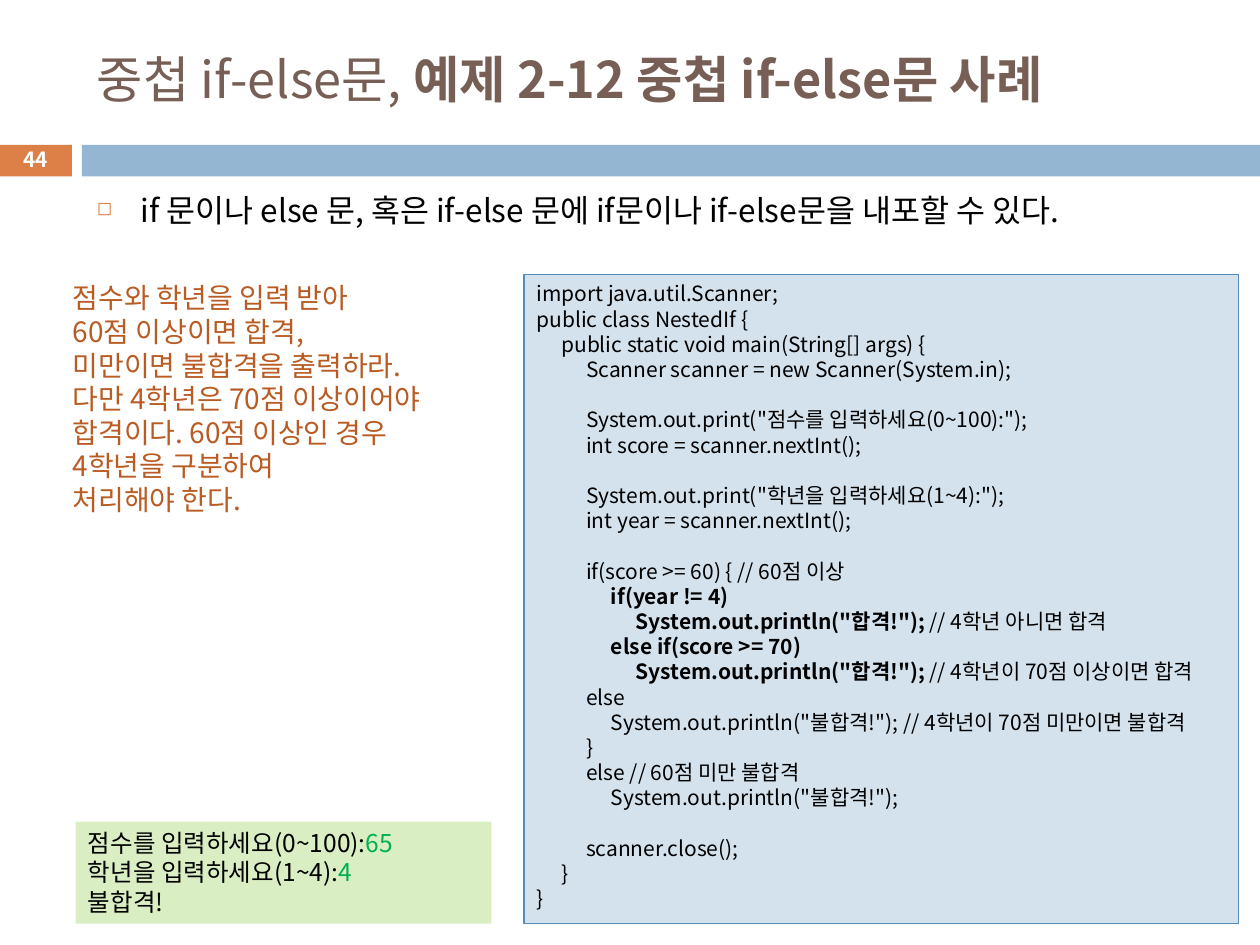
from lxml.etree import SubElement
from pptx import Presentation
from pptx.dml.color import RGBColor
from pptx.enum.shapes import MSO_SHAPE
from pptx.enum.text import MSO_ANCHOR, PP_ALIGN
from pptx.oxml.ns import qn
from pptx.util import Inches, Pt

COLORS = {
    "title": "775F55",
    "orange": "DD8047",
    "blue": "94B6D2",
    "white": "FFFFFF",
    "black": "000000",
    "task": "B95B22",
    "code": "D4E2ED",
    "code_border": "558BB8",
    "console": "DAEEC4",
    "input": "00B050",
}

TITLE = "중첩 if-else문, **예제 2-12 중첩 if-else문 사례**"
SUMMARY = "if 문이나 else 문, 혹은 if-else 문에 if문이나 if-else문을 내포할 수 있다."
TASK = """점수와 학년을 입력 받아
60점 이상이면 합격,
미만이면 불합격을 출력하라.
다만 4학년은 70점 이상이어야
합격이다. 60점 이상인 경우
4학년을 구분하여
처리해야 한다."""
CODE = """import java.util.Scanner;
public class NestedIf {
    public static void main(String[] args) {
        Scanner scanner = new Scanner(System.in);

        System.out.print("점수를 입력하세요(0~100):");
        int score = scanner.nextInt();

        System.out.print("학년을 입력하세요(1~4):");
        int year = scanner.nextInt();

        if(score >= 60) { // 60점 이상
            **if(year != 4)**
                **System.out.println("합격!"); **// 4학년 아니면 합격
            **else if(score >= 70)**
                **System.out.println("합격!"); **// 4학년이 70점 이상이면 합격
        else
            System.out.println("불합격!"); // 4학년이 70점 미만이면 불합격
        }
        else // 60점 미만 불합격
            System.out.println("불합격!");

        scanner.close();
    }
}"""
CONSOLE = """점수를 입력하세요(0~100):**65**
학년을 입력하세요(1~4):**4**
불합격!"""


def rgb(name):
    return RGBColor.from_string(COLORS[name])


def write(frame, text, size=12, color="black", bold=False, accent_color=None,
          accent_bold=False, align=PP_ALIGN.LEFT, anchor=MSO_ANCHOR.TOP,
          before=0, bullet=None):
    frame.word_wrap = True
    frame.vertical_anchor = anchor
    line_height = size * 1.2
    paragraph, gap = None, before
    for line in text.split("\n"):
        if not line:
            gap += line_height
            continue
        paragraph = frame.add_paragraph() if paragraph else frame.paragraphs[0]
        paragraph.alignment = align
        paragraph.line_spacing = Pt(line_height)
        paragraph.space_before = Pt(gap)
        gap = before
        content = line.lstrip()
        level = (len(line) - len(content)) // 4
        properties = paragraph._p.get_or_add_pPr()
        properties.set("marL", str(Inches(0.35 if bullet else 0.197 * level)))
        if bullet:
            properties.set("indent", str(Inches(-0.35)))
            bullet_color = SubElement(properties, qn("a:buClr"))
            SubElement(bullet_color, qn("a:srgbClr"), val=COLORS["orange"])
            SubElement(properties, qn("a:buSzPct"), val="60000")
            SubElement(properties, qn("a:buChar"), char=bullet)
        for index, part in enumerate(content.split("**")):
            if not part:
                continue
            accented = index % 2 == 1
            run = paragraph.add_run()
            run.text = part
            run.font.size = Pt(size)
            run.font.bold = bold or (accented and accent_bold)
            run.font.color.rgb = rgb(accent_color if accented and accent_color else color)
            run.font.name = SlideBuilder.FONT
            for tag in ("a:ea", "a:sym"):
                SubElement(run.font._element, qn(tag), typeface=SlideBuilder.FONT)


class SlideBuilder:
    FONT = "Noto Sans CJK KR"

    def __init__(self, slide):
        self.slide = slide

    def text(self, box, content, **style):
        label = self.slide.shapes.add_textbox(*map(Inches, box))
        write(label.text_frame, content, **style)

    def panel(self, box, fill, content="", border=None, **style):
        panel = self.slide.shapes.add_shape(MSO_SHAPE.RECTANGLE, *map(Inches, box))
        panel.shadow.inherit = False
        panel.fill.solid()
        panel.fill.fore_color.rgb = rgb(fill)
        if border:
            panel.line.color.rgb = rgb(border)
            panel.line.width = Pt(0.75)
        else:
            panel.line.fill.background()
        if content:
            write(panel.text_frame, content, **style)


def main():
    deck = Presentation()
    deck.slide_width, deck.slide_height = Inches(10), Inches(7.5)
    builder = SlideBuilder(deck.slides.add_slide(deck.slide_layouts[6]))

    builder.panel((-0.01, 1.15, 0.58, 0.25), "orange")
    builder.panel((0.65, 1.15, 9.35, 0.25), "blue")
    builder.text((0.67, 0.25, 8.92, 0.74), TITLE, size=28.8, color="title",
                 accent_bold=True, anchor=MSO_ANCHOR.MIDDLE)
    builder.text((0.67, 1.47, 8.92, 0.5), SUMMARY, size=18, before=7, bullet="◻")
    builder.text((-0.01, 1.13, 0.58, 0.27), "44", size=11.9, color="white",
                 bold=True, align=PP_ALIGN.CENTER, anchor=MSO_ANCHOR.MIDDLE)
    builder.text((0.48, 2.18, 3.54, 1.99), TASK, size=16, color="task")
    builder.panel((4.16, 2.18, 5.67, 5.15), "code", CODE,
                  border="code_border", accent_bold=True)
    builder.panel((0.6, 6.52, 3.3, 0.81), "console", CONSOLE, size=14,
                  accent_color="input")

    deck.save("out.pptx")


if __name__ == "__main__":
    main()
